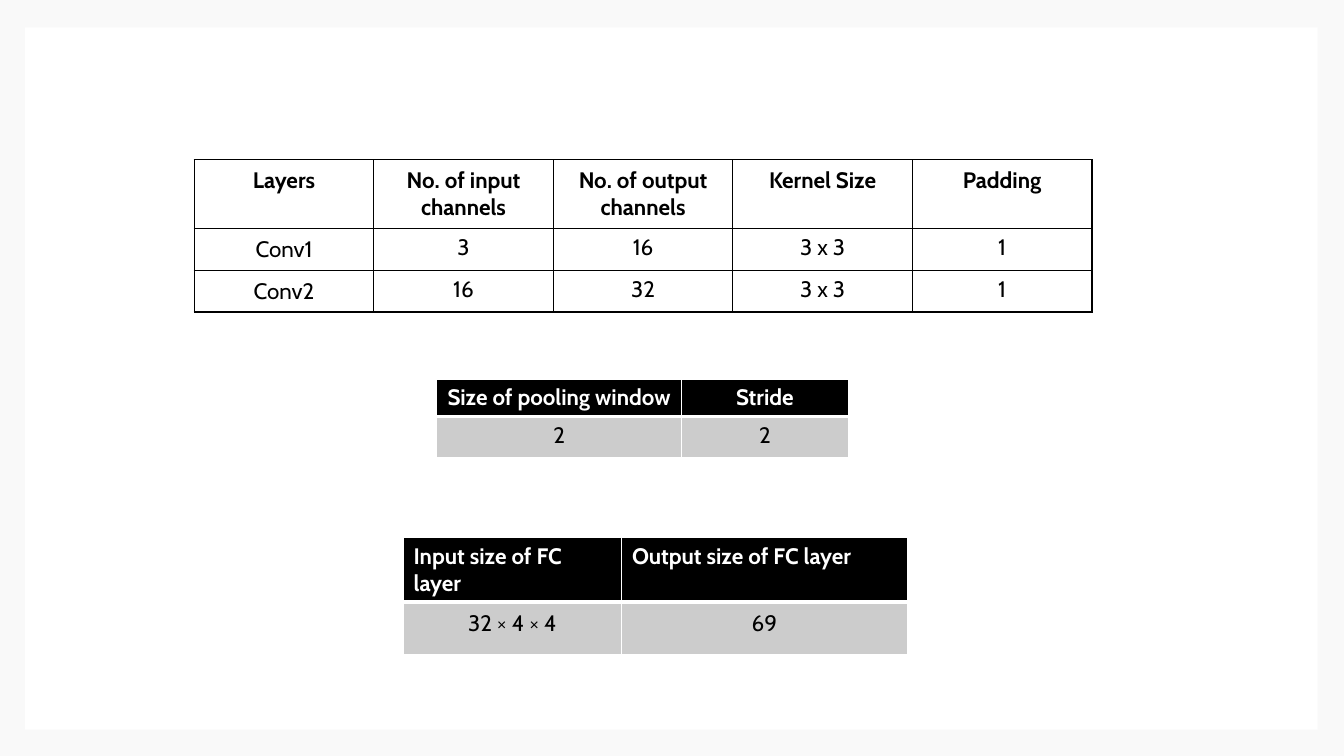
from lxml.etree import SubElement
from pptx import Presentation
from pptx.dml.color import RGBColor
from pptx.enum.shapes import MSO_SHAPE as Shape
from pptx.enum.text import PP_ALIGN as Align
from pptx.oxml import parse_xml
from pptx.oxml.ns import nsdecls, qn
from pptx.util import Emu, Pt

PX = 9525  # EMU per px at 96 px to the inch
FONT = "Cabin"
COLORS = {"back": "F9F9F9", "white": "FFFFFF", "black": "000000", "grey": "CCCCCC"}
WIDE = (7, 7, 7, 7)  # cell margins: left, top, right, bottom
SLIM = (10, 5, 10, 5)


def px(n):
    return Emu(n * PX)


def rgb(name):
    return RGBColor.from_string(COLORS[name])


def add_panel(slide, x, y, w, h):
    panel = slide.shapes.add_shape(Shape.RECTANGLE, px(x), px(y), px(w), px(h))
    panel.shadow.inherit = False
    panel.fill.solid()
    panel.fill.fore_color.rgb = rgb("white")
    panel.line.fill.background()


def set_edges(cell, color, base):
    """Draw 1 pt borders, with the bottom one base points wide."""
    props = cell._tc.get_or_add_tcPr()
    for i, side in enumerate("LRTB"):
        width = Pt(base if side == "B" else 1)
        line = parse_xml(f'<a:ln{side} {nsdecls("a")} w="{width}"/>')
        fill = SubElement(line, qn("a:solidFill"))
        SubElement(fill, qn("a:srgbClr")).set("val", COLORS[color])
        props.insert(i, line)


def set_cell(cell, text, ink, fill, bold, align, pads):
    cell.text_frame.text = text
    para = cell.text_frame.paragraphs[0]
    para.alignment = align
    font = para.runs[0].font
    font.name, font.size, font.bold = FONT, Pt(16), bold
    font.color.rgb = rgb(ink)
    if fill:
        cell.fill.solid()
        cell.fill.fore_color.rgb = rgb(fill)
    else:
        cell.fill.background()
    (cell.margin_left, cell.margin_top,
     cell.margin_right, cell.margin_bottom) = map(px, pads)


def add_grid(slide, x, y, cols, rows, data, dark=True,
             head_pads=SLIM, first_pads=SLIM, body_pads=SLIM, head_align=Align.CENTER):
    frame = slide.shapes.add_table(len(rows), len(cols), px(x), px(y),
                                   px(sum(cols)), px(sum(rows)))
    table = frame.table
    table.first_row = table.horz_banding = False
    for col, width in zip(table.columns, cols):
        col.width = px(width)
    for row, height in zip(table.rows, rows):
        row.height = px(height)
    for r, line in enumerate(data):
        head = r == 0
        ink = "white" if dark and head else "black"
        fill = ("black" if head else "grey") if dark else None
        for c, text in enumerate(line):
            cell = table.cell(r, c)
            pads = head_pads if head else body_pads if c else first_pads
            set_cell(cell, text, ink, fill, head,
                     head_align if head else Align.CENTER, pads)
            set_edges(cell, "white" if dark else "black", 3 if dark and head else 1)


def main():
    deck = Presentation()
    deck.slide_width, deck.slide_height = px(1280), px(720)
    slide = deck.slides.add_slide(deck.slide_layouts[6])
    slide.background.fill.solid()
    slide.background.fill.fore_color.rgb = rgb("back")
    add_panel(slide, 24, 26, 1231, 669)

    # Convolution layers
    add_grid(slide, 185, 152, [171] * 5, [65, 39, 39], [
        ["Layers", "No. of input channels", "No. of output channels",
         "Kernel Size", "Padding"],
        ["Conv1", "3", "16", "3 x 3", "1"],
        ["Conv2", "16", "32", "3 x 3", "1"],
    ], dark=False, head_pads=WIDE, first_pads=WIDE)

    # Pooling
    add_grid(slide, 416, 361, [233, 159], [34, 39], [
        ["Size of pooling window", "Stride"],
        ["2", "2"],
    ])

    # Fully connected layer
    add_grid(slide, 384, 512, [208, 272], [60, 50], [
        ["Input size of FC layer", "Output size of FC layer"],
        ["32 × 4 × 4", "69"],
    ], first_pads=WIDE, body_pads=WIDE, head_align=Align.LEFT)

    deck.save("out.pptx")


if __name__ == "__main__":
    main()
